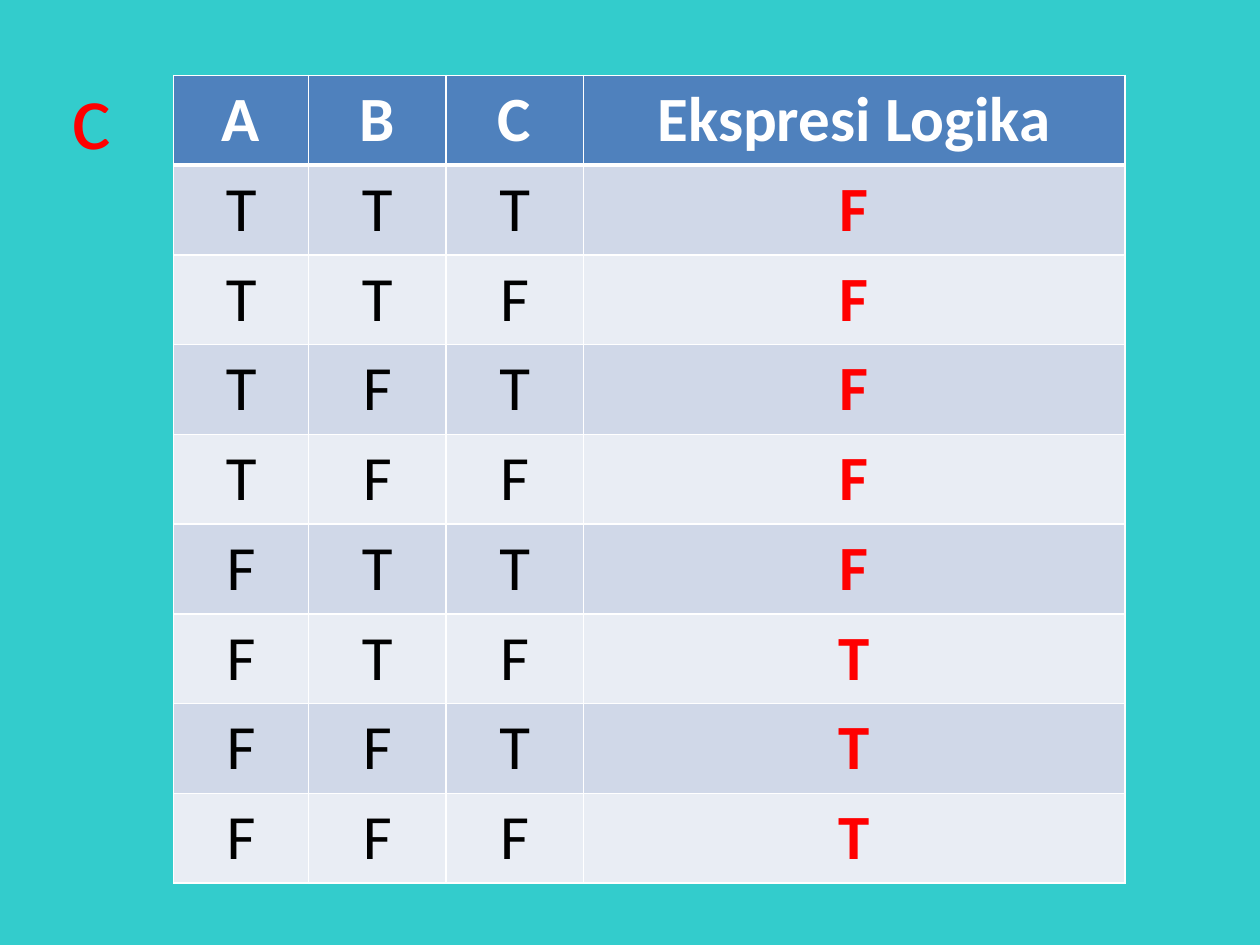
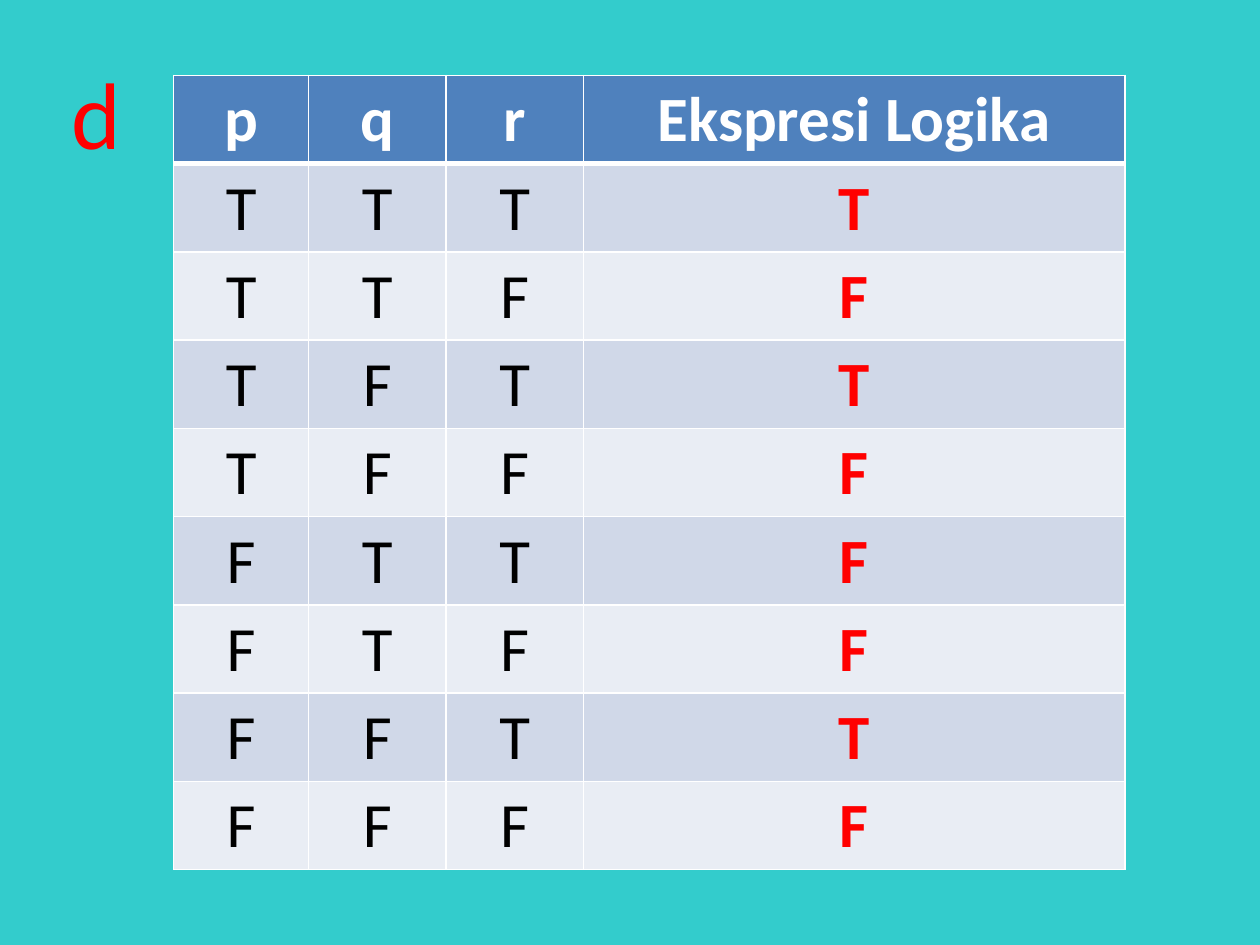
from itertools import product

from lxml import etree
from pptx import Presentation
from pptx.dml.color import RGBColor
from pptx.enum.text import MSO_AUTO_SIZE, PP_ALIGN
from pptx.oxml.ns import qn
from pptx.util import Cm, Pt

CENTER = PP_ALIGN.CENTER
FIT_SHAPE = MSO_AUTO_SIZE.SHAPE_TO_FIT_TEXT
BLANK = 6

COLORS = {
    "background": "33CCCC",
    "header": "4F81BD",
    "odd": "D0D8E8",
    "even": "E9EDF4",
    "white": "FFFFFF",
    "black": "000000",
    "red": "FF0000",
}
FONT = "Calibri"
COL_WIDTHS = [2.72, 2.77, 2.77, 10.92]
RESULT_COL = 3
RESULT_TITLE = "Ekspresi Logika"

# Label, variables, label width and results, from TTT down to FFF
EXERCISES = [
    ("c", "ABC", 1.32, "FFFFFTTT"),
    ("d", "pqr", 1.52, "TFTFFFTF"),
]


def rgb(name):
    return RGBColor.from_string(COLORS[name])


class Deck:
    def __init__(self):
        self.prs = Presentation()
        self.prs.slide_width, self.prs.slide_height = Cm(25.4), Cm(19.05)
        self.s = None

    def new_slide(self):
        self.s = self.prs.slides.add_slide(self.prs.slide_layouts[BLANK])
        fill = self.s.background.fill
        fill.solid()
        fill.fore_color.rgb = rgb("background")

    def set_text(self, p, text, size, color, bold=False):
        p.text = text
        p.font.name, p.font.size, p.font.bold = FONT, Pt(size), bold
        p.font.color.rgb = rgb(color)

    def label(self, text, width):
        tf = self.s.shapes.add_textbox(Cm(1.19), Cm(0.99), Cm(width), Cm(2.57)).text_frame
        tf.word_wrap = False
        tf.auto_size = FIT_SHAPE
        self.set_text(tf.paragraphs[0], text, 54, "red")

    def border(self, cell, side, width):
        ln = etree.SubElement(cell._tc.get_or_add_tcPr(), qn(f"a:ln{side}"), w=str(Pt(width)))
        fill = etree.SubElement(ln, qn("a:solidFill"))
        etree.SubElement(fill, qn("a:srgbClr"), val=COLORS["white"])

    def cell(self, cell, text, row, col):
        # The line under the header is thicker than the others
        thick = {(0, "B"), (1, "T")}
        for side in "LRTB":
            self.border(cell, side, 3 if (row, side) in thick else 1)
        cell.fill.solid()
        cell.fill.fore_color.rgb = rgb("header" if row == 0 else "odd" if row % 2 else "even")
        color = "white" if row == 0 else "red" if col == RESULT_COL else "black"
        p = cell.text_frame.paragraphs[0]
        self.set_text(p, text, 36, color, bold=color != "black")
        p.alignment = CENTER

    def truth_table(self, variables, results):
        rows = [[*variables, RESULT_TITLE]]
        rows += [[*values, result] for values, result in zip(product("TF", repeat=3), results)]
        table = self.s.shapes.add_table(
            len(rows), len(COL_WIDTHS), Cm(3.5), Cm(1.52), Cm(sum(COL_WIDTHS)), Cm(16)
        ).table
        for column, width in zip(table.columns, COL_WIDTHS):
            column.width = Cm(width)
        for i, row in enumerate(rows):
            for j, text in enumerate(row):
                self.cell(table.cell(i, j), text, i, j)


def main():
    deck = Deck()
    for label, variables, width, results in EXERCISES:
        deck.new_slide()
        deck.truth_table(variables, results)
        deck.label(label, width)
    deck.prs.save("out.pptx")


if __name__ == "__main__":
    main()
